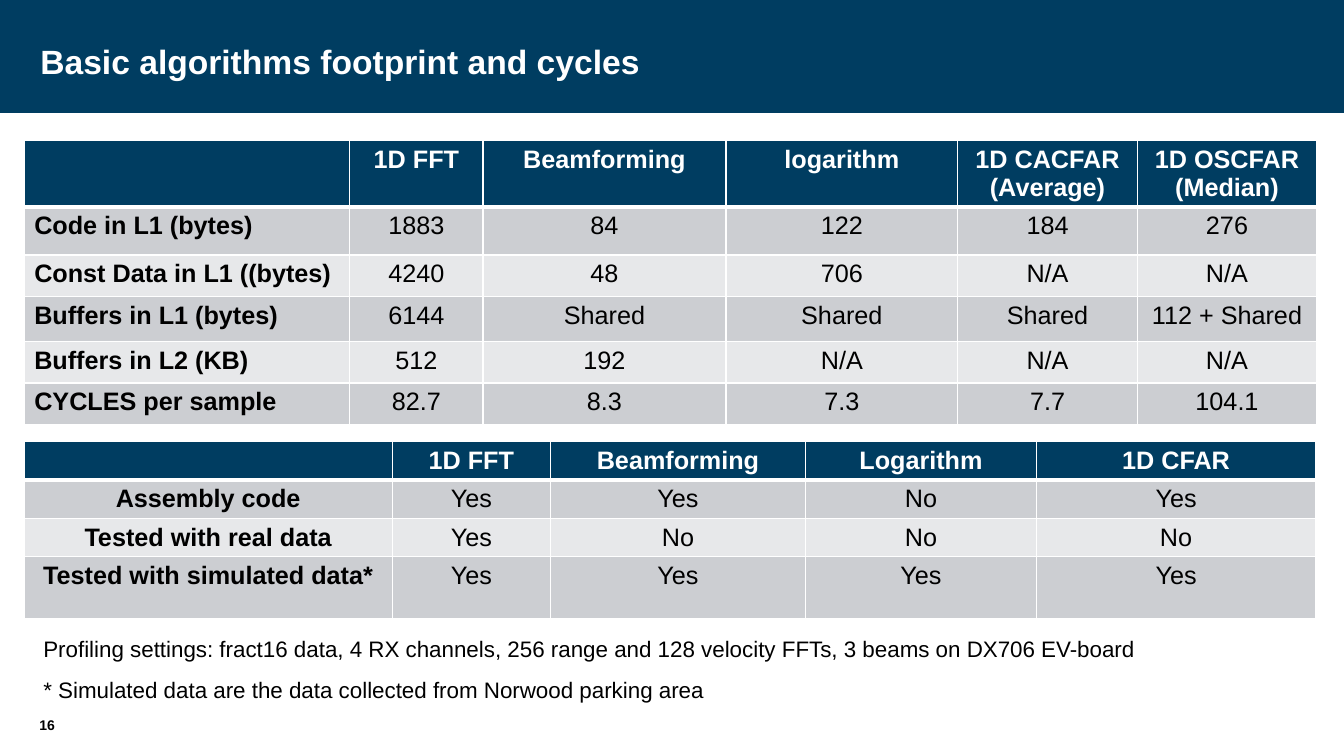
from dataclasses import dataclass
from typing import Any

from lxml.etree import SubElement
from pptx import Presentation
from pptx.dml.color import RGBColor as Rgb
from pptx.enum.text import MSO_ANCHOR as Anchor, MSO_AUTO_SIZE as AutoSize, PP_ALIGN as Align
from pptx.oxml.ns import qn
from pptx.util import Inches, Pt


@dataclass(frozen=True)
class Theme:
    font: str = "Arial"
    navy: str = "003D61"
    white: str = "FFFFFF"
    black: str = "000000"
    bands: tuple[str, str] = ("CCCED2", "E7E8EA")
    title_size: int = 24
    cell_size: int = 18
    note_size: int = 16
    number_size: int = 10
    rule: int = 1
    header_rule: int = 3


@dataclass(frozen=True)
class Box:
    left: float
    top: float
    width: float
    height: float

    def lengths(self) -> list[int]:
        return [Inches(side) for side in (self.left, self.top, self.width, self.height)]


@dataclass(frozen=True)
class Grid:
    left: float
    top: float
    columns: list[float]
    heights: list[float]
    label_align: Align
    rows: list[list[str]]


THEME = Theme()
LEFT_EDGE = 0.24

FOOTPRINT = Grid(
    LEFT_EDGE, 1.39,
    [3.23, 1.32, 2.41, 2.3, 1.78, 1.78],
    [0.66, 0.48, 0.41, 0.45, 0.41, 0.41],
    Align.LEFT,
    [
        ["", "1D FFT", "Beamforming", "logarithm", "1D CACFAR (Average)", "1D OSCFAR (Median)"],
        ["Code in L1 (bytes)", "1883", "84", "122", "184", "276"],
        ["Const Data in L1 ((bytes)", "4240", "48", "706", "N/A", "N/A"],
        ["Buffers in L1 (bytes)", "6144", "Shared", "Shared", "Shared", "112 + Shared"],
        ["Buffers in L2 (KB)", "512", "192", "N/A", "N/A", "N/A"],
        ["CYCLES per sample", "82.7", "8.3", "7.3", "7.7", "104.1"],
    ],
)
TESTING = Grid(
    LEFT_EDGE, 4.38,
    [3.65, 1.57, 2.53, 2.29, 2.77],
    [0.38, 0.38, 0.38, 0.62],
    Align.CENTER,
    [
        ["", "1D FFT", "Beamforming", "Logarithm", "1D CFAR"],
        ["Assembly code", "Yes", "Yes", "No", "Yes"],
        ["Tested with real data", "Yes", "No", "No", "No"],
        ["Tested with simulated data*", "Yes", "Yes", "Yes", "Yes"],
    ],
)
NOTES = [
    "Profiling settings: fract16 data, 4 RX channels, 256 range and 128 velocity FFTs, "
    "3 beams on DX706 EV-board",
    "* Simulated data are the data collected from Norwood parking area",
]


def apply(target: Any, values: dict[str, Any]) -> None:
    for name, value in values.items():
        setattr(target, name, value)


def write(paragraph: Any, text: str, size: int, color: str, bold: bool = False,
          align: Align = Align.LEFT, before: int = 0) -> None:
    paragraph.text = text
    apply(paragraph, {"alignment": align, "space_before": Pt(before)})
    apply(paragraph.font, {"name": THEME.font, "size": Pt(size), "bold": bold})
    paragraph.font.color.rgb = Rgb.from_string(color)


def set_frame(frame: Any, margins: tuple[float, float, float, float], anchor: Anchor) -> None:
    left, top, right, bottom = map(Inches, margins)
    apply(frame, {
        "margin_left": left, "margin_top": top, "margin_right": right, "margin_bottom": bottom,
        "vertical_anchor": anchor, "word_wrap": True, "auto_size": AutoSize.NONE,
    })


def add_title(slide: Any, text: str, box: Box) -> None:
    title = slide.shapes.title
    apply(title, dict(zip(("left", "top", "width", "height"), box.lengths())))
    title.fill.solid()
    title.fill.fore_color.rgb = Rgb.from_string(THEME.navy)
    set_frame(title.text_frame, (0.4, 0.2, 0.4, 0.1), Anchor.MIDDLE)
    write(title.text_frame.paragraphs[0], text, THEME.title_size, THEME.white, bold=True)


def add_lines(slide: Any, lines: list[str], box: Box, size: int, bold: bool = False,
              before: int = 0, anchor: Anchor = Anchor.TOP) -> None:
    frame = slide.shapes.add_textbox(*box.lengths()).text_frame
    set_frame(frame, (0, 0, 0, 0), anchor)
    for index, line in enumerate(lines):
        paragraph = frame.add_paragraph() if index else frame.paragraphs[0]
        write(paragraph, line, size, THEME.black, bold, before=before)


def add_borders(cell: Any, top: int, bottom: int) -> None:
    properties = cell._tc.get_or_add_tcPr()
    sides = {"a:lnL": THEME.rule, "a:lnR": THEME.rule, "a:lnT": top, "a:lnB": bottom}
    for tag, points in sides.items():
        edge = SubElement(properties, qn(tag), w=str(Pt(points)))
        SubElement(SubElement(edge, qn("a:solidFill")), qn("a:srgbClr"), val=THEME.white)


def add_grid(slide: Any, grid: Grid) -> None:
    box = Box(grid.left, grid.top, sum(grid.columns), sum(grid.heights))
    table = slide.shapes.add_table(len(grid.rows), len(grid.columns), *box.lengths()).table
    for column, width in zip(table.columns, grid.columns):
        column.width = Inches(width)
    for row, height in zip(table.rows, grid.heights):
        row.height = Inches(height)
    for row_index, texts in enumerate(grid.rows):
        header = row_index == 0
        fill = THEME.navy if header else THEME.bands[(row_index - 1) % 2]
        top = THEME.header_rule if row_index == 1 else THEME.rule
        bottom = THEME.header_rule if header else THEME.rule
        for column_index, text in enumerate(texts):
            label = column_index == 0
            cell = table.cell(row_index, column_index)
            add_borders(cell, top, bottom)
            cell.fill.solid()
            cell.fill.fore_color.rgb = Rgb.from_string(fill)
            write(cell.text_frame.paragraphs[0], text, THEME.cell_size,
                  THEME.white if header else THEME.black, header or label,
                  grid.label_align if label else Align.CENTER)


def main() -> None:
    deck = Presentation()
    apply(deck, {"slide_width": Inches(13.33), "slide_height": Inches(7.5)})
    slide = deck.slides.add_slide(deck.slide_layouts.get_by_name("Title Only"))
    add_title(slide, "Basic algorithms footprint and cycles", Box(0, 0, 13.33, 1.12))
    add_lines(slide, NOTES, Box(0.43, 6.3, 12.62, 0.62), THEME.note_size, before=10)
    add_lines(slide, ["16"], Box(0.39, 6.92, 0.37, 0.36), THEME.number_size,
              bold=True, anchor=Anchor.BOTTOM)
    for grid in (FOOTPRINT, TESTING):
        add_grid(slide, grid)
    deck.save("out.pptx")


if __name__ == "__main__":
    main()
